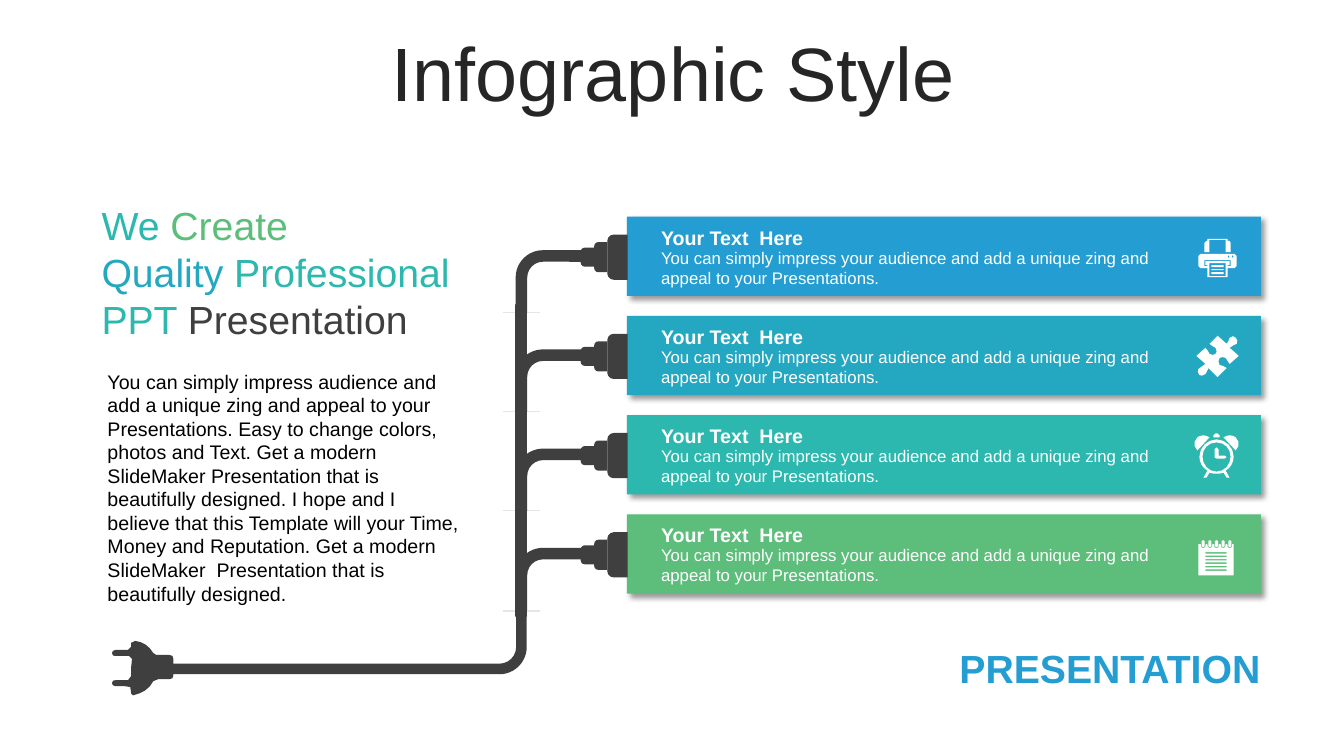
from dataclasses import dataclass
from math import dist

from lxml import etree
from pptx import Presentation
from pptx import util as u
from pptx.dml.color import RGBColor
from pptx.enum import shapes, text
from pptx.oxml import ns

BLUE = RGBColor(0x24, 0x9E, 0xD2)
CYAN = RGBColor(0x24, 0xA8, 0xC2)
TEAL = RGBColor(0x2C, 0xB8, 0xAE)
GREEN = RGBColor(0x5C, 0xBE, 0x7A)
CABLE = RGBColor(0x3F, 0x3F, 0x3F)
INK = RGBColor(0x26, 0x26, 0x26)
BLACK = RGBColor(0, 0, 0)
WHITE = RGBColor(0xFF, 0xFF, 0xFF)

FIRST_TOP, PITCH = 5.46, 2.5
PLUG_MIDDLE = 1.02

# Outlines are in hundredths of an inch: M starts a contour, L lines, C Bézier curves.
PRINTER = (
    "M13 33 L25 33 25 35 13 35 M13 30 L25 30 25 31 13 31 M13 26 L25 26 25 28 13 28 "
    "M11 24 L11 37 27 37 27 24 "
    "M6 21 L6 27 9 27 9 26 7 26 7 22 31 22 31 26 29 26 29 27 32 27 32 21 "
    "M34 16 L33 17.5 34 19 35 17.5 M30 16 L29 17.5 30 19 31 17.5 "
    "M2 15 L36 15 38 17 38 27 36 29 29 29 29 38 9 38 9 29 2 29 0 27 0 17 "
    "M9 0 L29 0 29 2 31 2 32 4 32 13 27 13 27 1 11 1 11 13 6 13 6 4 8 2 9 2"
)
PUZZLE = (
    "M39 2 C41 3 41 6 40 8 38 10 35 9 33 12 L42 20 33 28 C30 26 32 24 29 22 "
    "27 21 25 21 23 22 22 24 21 27 23 29 26 31 27 29 30 32 L21 41 12 32 "
    "C10 35 11 36 9 38 7 40 4 40 3 39 1 37 1 35 2 33 4 30 7 31 9 28 L0 20 9 12 "
    "C12 14 11 16 13 18 15 20 18 19 19 18 20 17 21 14 19 12 16 9 15 11 13 8 "
    "L21 0 30 8 C33 5 31 5 33 2 35 0 38 0 39 2"
)
CLOCK = (
    "M22 14 L24 16 24 22 30 22 32 23.5 30 25 22 25 20 24 20 16 "
    "M22 9 C14 9 8 15 8 23 8 31 14 38 22 38 30 38 36 31 36 23 36 15 30 9 22 9 "
    "M22 6 C31 6 39 14 39 23 39 29 36 34 31 37 L35 44 32 44 29 39 "
    "C27 40 24 40 22 40 20 40 17 40 15 39 L12 44 9 44 13 37 C8 34 5 29 5 23 5 14 13 6 22 6 "
    "M9 2 C11 2 13 3 15 4 L3 17 C-1 13 -1 8 3 4 4 3 7 2 9 2 "
    "M35 2 C38 2 40 3 41 4 45 8 45 13 41 17 L29 4 C31 3 33 2 35 2 "
    "M21 0 L23 0 25 2 25 4 19 4 19 2"
)
MAINS_PLUG = (
    "M19 27 L20 18 17 15 4 15 C2 15 0 15 0 12 0 10 2 9 4 9 L16 9 19 6 19 2 "
    "C19 -1 20 -1 23 0 31 1 37 5 41 12 L44 14 57 14 C60 14 61 15 61 18 L61 34 "
    "C61 37 60 38 57 38 L46 38 41 40 C37 48 30 52 21 54 L19 52 19 51 "
    "C19 45 19 45 13 45 L4 45 C2 45 0 44 0 42 0 39 2 39 4 39 L16 39 19 35"
)


def notepad_outline() -> str:
    rings = [round(4.8 + 6.6 * i, 1) for i in range(5)]
    lines = "".join(f"M7 {y} L28 {y} 28 {y + 1.4} 7 {y + 1.4} "
                    for y in (12 + 3.4 * i for i in range(6)))
    notches = "".join(f"{x - 2.5} 4 {x - 2} 7 {x} 8 {x + 2} 7 {x + 2.5} 4 " for x in rings)
    tabs = "".join(f"M{x - 1.5} 1 L{x} 0 {x + 1.5} 1 {x + 1.5} 6 {x} 7 {x - 1.5} 6 "
                   for x in rings)
    return f"{lines}M0 4 L{notches}35 4 35 35 0 35 {tabs}"


@dataclass(frozen=True)
class Bar:
    color: RGBColor
    icon: str
    icon_left: float
    icon_top: float


@dataclass(frozen=True)
class PlugPart:
    center: float
    length: float
    thickness: float


@dataclass(frozen=True)
class Style:
    size: int
    color: RGBColor
    bold: bool = False


BARS = [
    Bar(BLUE, PRINTER, 30.2, 0.56),
    Bar(CYAN, PUZZLE, 30.15, 0.5),
    Bar(TEAL, CLOCK, 30.1, 0.46),
    Bar(GREEN, notepad_outline(), 30.2, 0.65),
]
PLUG_PARTS = [PlugPart(15.56, 1.14, 0.51), PlugPart(15.14, 0.76, 0.33),
              PlugPart(14.8, 0.48, 0.33)]
SLOGAN = [
    [("We ", TEAL), ("Create", GREEN)],
    [("Quality ", CYAN), ("Professional", TEAL)],
    [("PPT ", TEAL), ("Presentation", CABLE)],
]
BAR_TEXT = ("You can simply impress your audience and add a unique zing and appeal "
            "to your Presentations.")
INTRO = ("You can simply impress audience and add a unique zing and appeal to your "
         "Presentations. Easy to change colors, photos and Text. Get a modern SlideMaker "
         "Presentation that is beautifully designed. I hope and I believe that this Template "
         "will your Time, Money and Reputation. Get a modern SlideMaker  Presentation that is "
         "beautifully designed.")


def paint(shape, color: RGBColor) -> None:
    shape.shadow.inherit = False
    shape.fill.solid()
    shape.fill.fore_color.rgb = color
    shape.line.fill.background()


def add_block(slide, kind, left: float, top: float, width: float, height: float,
              color: RGBColor, rotation: int = 0, adjustments=()):
    block = slide.shapes.add_shape(kind, u.Cm(left), u.Cm(top), u.Cm(width), u.Cm(height))
    paint(block, color)
    block.rotation = rotation
    for index, value in enumerate(adjustments):
        block.adjustments[index] = value
    return block


def style_run(run, style: Style) -> None:
    run.font.name = "Arial"
    run.font.size = u.Pt(style.size)
    run.font.bold = style.bold
    run.font.color.rgb = style.color


def add_text(slide, wording: str, left: float, top: float, width: float, height: float,
             style: Style, wrap: bool = True):
    frame = slide.shapes.add_textbox(
        u.Cm(left), u.Cm(top), u.Cm(width), u.Cm(height)).text_frame
    frame.word_wrap = wrap
    frame.text = wording
    for run in frame.paragraphs[0].runs:
        style_run(run, style)
    return frame


def flatten(contour: str) -> list[tuple[float, float]]:
    """Turn one contour into points, sampling long curves more finely than short ones."""
    points = []
    for piece in contour.replace("L", "|L").replace("C", "|C").split("|"):
        numbers = [10 * float(n) for n in piece.strip("LC ").split()]
        pairs = list(zip(numbers[::2], numbers[1::2]))
        if not piece.startswith("C"):
            points += pairs
            continue
        for i in range(0, len(pairs), 3):
            curve = [points[-1], *pairs[i:i + 3]]
            steps = min(4, 1 + int(dist(curve[0], curve[3]) / 50))
            for step in range(1, steps + 1):
                t = step / steps
                weights = ((1 - t) ** 3, 3 * t * (1 - t) ** 2, 3 * t * t * (1 - t), t ** 3)
                points.append(tuple(sum(w * p[axis] for w, p in zip(weights, curve))
                                    for axis in (0, 1)))
    return points


def add_outline(slide, outline: str, left: float, top: float, color: RGBColor) -> None:
    contours = [flatten(contour) for contour in outline.split("M")[1:]]
    builder = slide.shapes.build_freeform(*contours[0][0], scale=u.Cm(2.54) / 1000)
    for index, points in enumerate(contours):
        if index:
            builder.move_to(*points[0])
        builder.add_line_segments(points[1:], close=True)
    paint(builder.convert_to_shape(u.Cm(left), u.Cm(top)), color)


def add_drop_shadow(shape) -> None:
    effects = shape.element.spPr.find(ns.qn("a:effectLst"))
    shadow = etree.SubElement(effects, ns.qn("a:outerShdw"), blurRad=str(u.Pt(4)),
                              dist=str(u.Pt(3)), dir="2700000", algn="tl", rotWithShape="0")
    black = etree.SubElement(shadow, ns.qn("a:srgbClr"), val="000000")
    etree.SubElement(black, ns.qn("a:alpha"), val="40000")


def add_cable_bend(slide, left: float, top: float, width: float, height: float,
                   rotation: int, thickness: float) -> None:
    bend = add_block(slide, shapes.MSO_SHAPE.BENT_ARROW, left, top, width, height, CABLE,
                     rotation, (thickness, 0.298, 0, 0.438))
    bend.element.spPr.xfrm.set("flipH", "1")


def add_bar(slide, bar: Bar, top: float) -> None:
    add_drop_shadow(add_block(slide, shapes.MSO_SHAPE.RECTANGLE, 15.8, top, 15.98, 2, bar.color))
    add_text(slide, "Your Text  Here", 16.41, top + 0.1, 13.03, 0.86, Style(14, WHITE, True))
    add_text(slide, BAR_TEXT, 16.41, top + 0.65, 13.03, 1.27, Style(12, WHITE))
    add_outline(slide, bar.icon, bar.icon_left, top + bar.icon_top, WHITE)


def add_branch(slide, top: float) -> None:
    """Draw the cable and the plug that lead to one bar."""
    add_cable_bend(slide, 12.88, top + 0.64, 1.57, 1.98, 270, 0.186)
    for part in PLUG_PARTS:
        add_block(slide, shapes.MSO_SHAPE.ROUND_2_SAME_RECTANGLE, part.center - part.length / 2,
                  top + PLUG_MIDDLE - part.thickness / 2, part.length, part.thickness,
                  CABLE, 270, (0.317, 0))


def add_slogan(slide) -> None:
    frame = add_text(slide, "", 2.46, 5.05, 9.42, 3.58, Style(28, TEAL))
    frame.vertical_anchor = text.MSO_ANCHOR.MIDDLE
    frame.margin_left = frame.margin_right = u.Cm(0.1)
    frame.margin_top = frame.margin_bottom = 0
    for index, words in enumerate(SLOGAN):
        line = frame.add_paragraph() if index else frame.paragraphs[0]
        for word, color in words:
            run = line.add_run()
            run.text = word
            style_run(run, Style(28, color))


def main() -> None:
    deck = Presentation()
    deck.slide_width, deck.slide_height = u.Cm(33.87), u.Cm(19.05)
    slide = deck.slides.add_slide(deck.slide_layouts[6])

    title = add_text(slide, "Infographic Style", 0.89, 0.94, 32.16, 2.01, Style(54, INK))
    title.vertical_anchor = text.MSO_ANCHOR.MIDDLE
    title.paragraphs[0].alignment = text.PP_ALIGN.CENTER
    title.paragraphs[0].line_spacing = 0.9

    for index, bar in enumerate(BARS):
        top = FIRST_TOP + index * PITCH
        add_bar(slide, bar, top)
        add_branch(slide, top)
    add_cable_bend(slide, 8.2, 11.58, 1.57, 9.25, 90, 0.17)
    add_block(slide, shapes.MSO_SHAPE.RECTANGLE, 12.98, 7.67, 0.3, 7.87, CABLE)
    add_outline(slide, MAINS_PLUG, 2.82, 16.15, CABLE)

    add_text(slide, INTRO, 2.46, 9.19, 9.42, 6.25, Style(14, BLACK))
    add_slogan(slide)
    add_text(slide, "PRESENTATION", 23.93, 16.1, 8.18, 1.45, Style(28, BLUE, True), wrap=False)
    deck.save("out.pptx")


if __name__ == "__main__":
    main()
